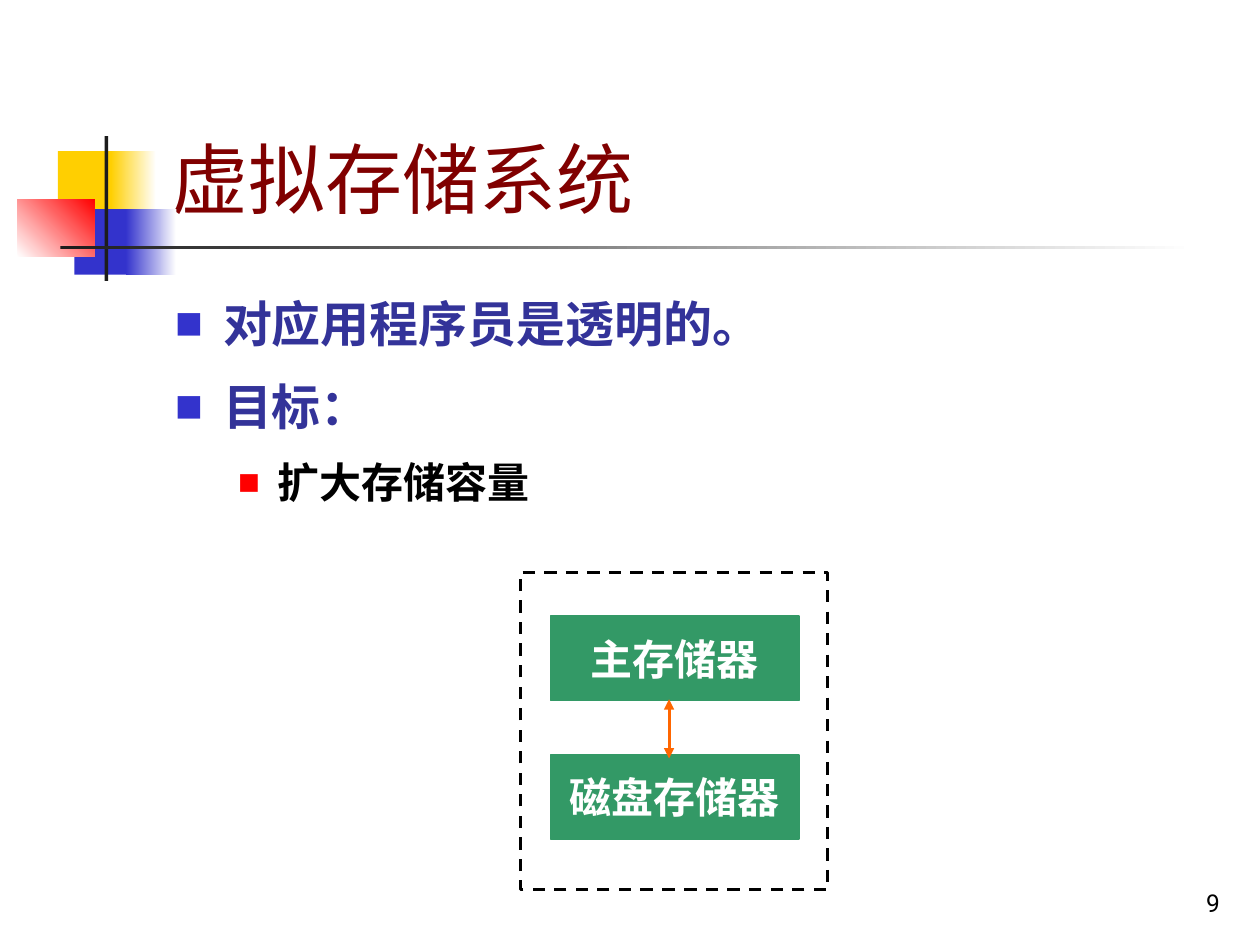
from lxml.etree import SubElement
from pptx import Presentation
from pptx.dml.color import RGBColor
from pptx.enum.dml import MSO_LINE as Dash
from pptx.enum.shapes import MSO_CONNECTOR as Conn, MSO_SHAPE as Shape
from pptx.enum.text import MSO_ANCHOR as Anchor, MSO_AUTO_SIZE as Fit, PP_ALIGN as Align
from pptx.oxml.ns import qn
from pptx.util import Inches, Pt


def rgb(code):
    return RGBColor.from_string(code)


class Page:
    """Holds the style and the current slide."""
    font, serif = "Roboto", "Times New Roman"
    ink, dark, maroon, navy = "000000", "1C1C1C", "800000", "333399"
    gold, blue, red, white = "FFCF01", "3333CC", "FF0000", "FFFFFF"
    green, orange = "339966", "FF6600"
    # size, colour, bullet colour, bullet %, indent, hanging, before, after
    levels = [
        (28, navy, blue, 60, 0.38, 0.38, 7, 1.8),
        (24, ink, red, 55, 0.81, 0.31, 6, 1.5),
    ]

    def __init__(self, deck):
        self.slide = deck.slides.add_slide(deck.slide_layouts[1])
        self.shapes = self.slide.shapes

    def place(self, item, box):
        item.left, item.top, item.width, item.height = map(Inches, box)

    def style(self, para, size, color, bold=False, font=None):
        para.font.name = font or self.font
        para.font.size = Pt(size)
        para.font.bold = bold
        para.font.color.rgb = rgb(color)

    def rect(self, box, fill=None, fade=None, angle=0):
        """Add a rectangle, plain or fading from fill to fade."""
        item = self.shapes.add_shape(Shape.RECTANGLE, *map(Inches, box))
        item.shadow.inherit = False
        item.line.fill.background()
        if fade:
            item.fill.gradient()
            item.fill.gradient_angle = angle
            for stop, color in zip(item.fill.gradient_stops, (fill, fade)):
                stop.color.rgb = rgb(color)
        elif fill:
            item.fill.solid()
            item.fill.fore_color.rgb = rgb(fill)
        else:
            item.fill.background()
        return item

    def label(self, box, text):
        """Add a green block with centred white text."""
        item = self.rect(box, self.green)
        item.line.color.rgb = rgb(self.green)
        item.line.width = Pt(1)
        frame = item.text_frame
        frame.vertical_anchor = Anchor.MIDDLE
        para = frame.paragraphs[0]
        para.text = text
        para.alignment = Align.CENTER
        self.style(para, 24, self.white, True, self.serif)

    def frame(self, box):
        item = self.rect(box)
        item.line.color.rgb = rgb(self.ink)
        item.line.width = Pt(1.75)
        item.line.dash_style = Dash.DASH

    def arrow(self, start, end):
        """Add a line with a head at both ends."""
        item = self.shapes.add_connector(Conn.STRAIGHT, *map(Inches, start + end))
        item.line.color.rgb = rgb(self.orange)
        item.line.width = Pt(1.75)
        for tag in ("a:headEnd", "a:tailEnd"):
            SubElement(item.line._get_or_add_ln(), qn(tag), type="triangle")
        SubElement(item._element.spPr, qn("a:effectLst"))

    def title(self, box, text):
        item = self.shapes.title
        self.place(item, box)
        frame = item.text_frame
        frame.auto_size = Fit.NONE
        frame.vertical_anchor = Anchor.BOTTOM
        para = frame.paragraphs[0]
        para.text = text
        para.alignment = Align.LEFT
        self.style(para, 44, self.maroon)

    def bullet(self, para, color, size, indent, hang):
        props = para._p.get_or_add_pPr()
        props.set("marL", str(Inches(indent)))
        props.set("indent", str(-Inches(hang)))
        tint = SubElement(props, qn("a:buClr"))
        SubElement(tint, qn("a:srgbClr"), val=color)
        SubElement(props, qn("a:buSzPct"), val=str(size * 1000))
        SubElement(props, qn("a:buFont"), typeface=self.font)
        SubElement(props, qn("a:buChar"), char="■")

    def body(self, box, items):
        item = self.slide.placeholders[1]
        self.place(item, box)
        frame = item.text_frame
        frame.auto_size = Fit.NONE
        for i, (level, text) in enumerate(items):
            size, color, mark, scale, indent, hang, before, after = self.levels[level]
            para = frame.add_paragraph() if i else frame.paragraphs[0]
            para.text = text
            para.level = level
            self.bullet(para, mark, scale, indent, hang)
            para.line_spacing = 1.15
            para.space_before = Pt(before if i else 0)
            para.space_after = Pt(after)
            self.style(para, size, color, True)

    def number(self, box, text):
        frame = self.shapes.add_textbox(*map(Inches, box)).text_frame
        frame.word_wrap = True
        frame.vertical_anchor = Anchor.BOTTOM
        para = frame.paragraphs[0]
        para.text = text
        para.alignment = Align.RIGHT
        self.style(para, 14, self.ink)

    def motif(self):
        """Add the coloured squares and the two rules beside the title."""
        self.rect((0.46, 1.2, 0.48, 0.52), self.gold)
        self.rect((0.88, 1.2, 0.36, 0.52), self.gold, self.white)
        self.rect((0.59, 1.66, 0.46, 0.52), self.blue)
        self.rect((1, 1.66, 0.4, 0.52), self.blue, self.white)
        self.rect((0.14, 1.58, 0.61, 0.46), self.white, self.red, 45)
        self.rect((0.83, 1.08, 0.03, 1.15), self.dark)
        self.rect((0.48, 1.95, 9, 0.03), self.dark, self.white)


def main():
    deck = Presentation()
    deck.slide_width, deck.slide_height = Inches(10), Inches(7.5)
    page = Page(deck)
    page.motif()
    page.number((7.7, 6.83, 2.08, 0.5), "9")
    page.title((1.26, 0.23, 8.52, 1.6), "虚拟存储系统")
    page.body((1.29, 2.21, 5.91, 1.94), [
        (0, "对应用程序员是透明的。"),
        (0, "目标："),
        (1, "扩大存储容量"),
    ])
    for i, text in enumerate(("主存储器", "磁盘存储器")):
        page.label((4.37, 4.89 + 1.1 * i, 1.97, 0.67), text)
    page.frame((4.13, 4.54, 2.44, 2.52))
    page.arrow((5.31, 5.55), (5.31, 6.02))
    deck.save("out.pptx")


if __name__ == "__main__":
    main()
